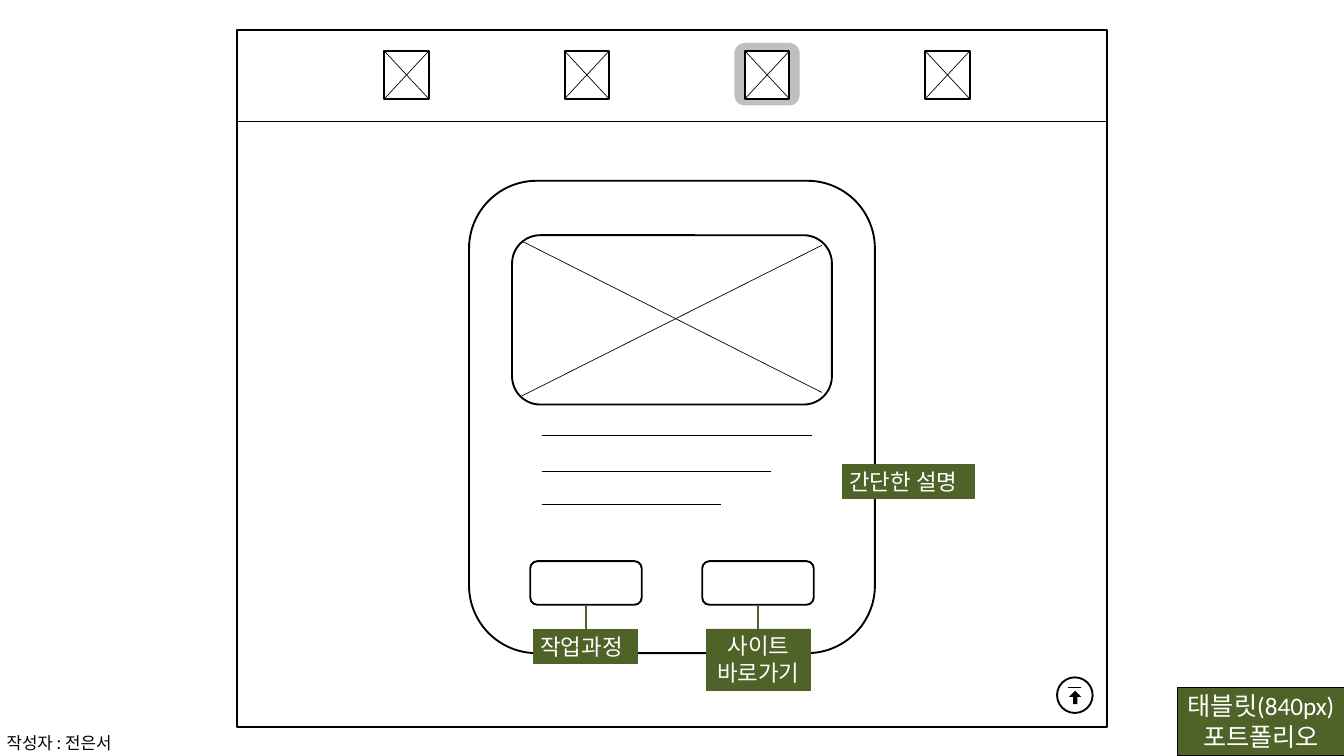
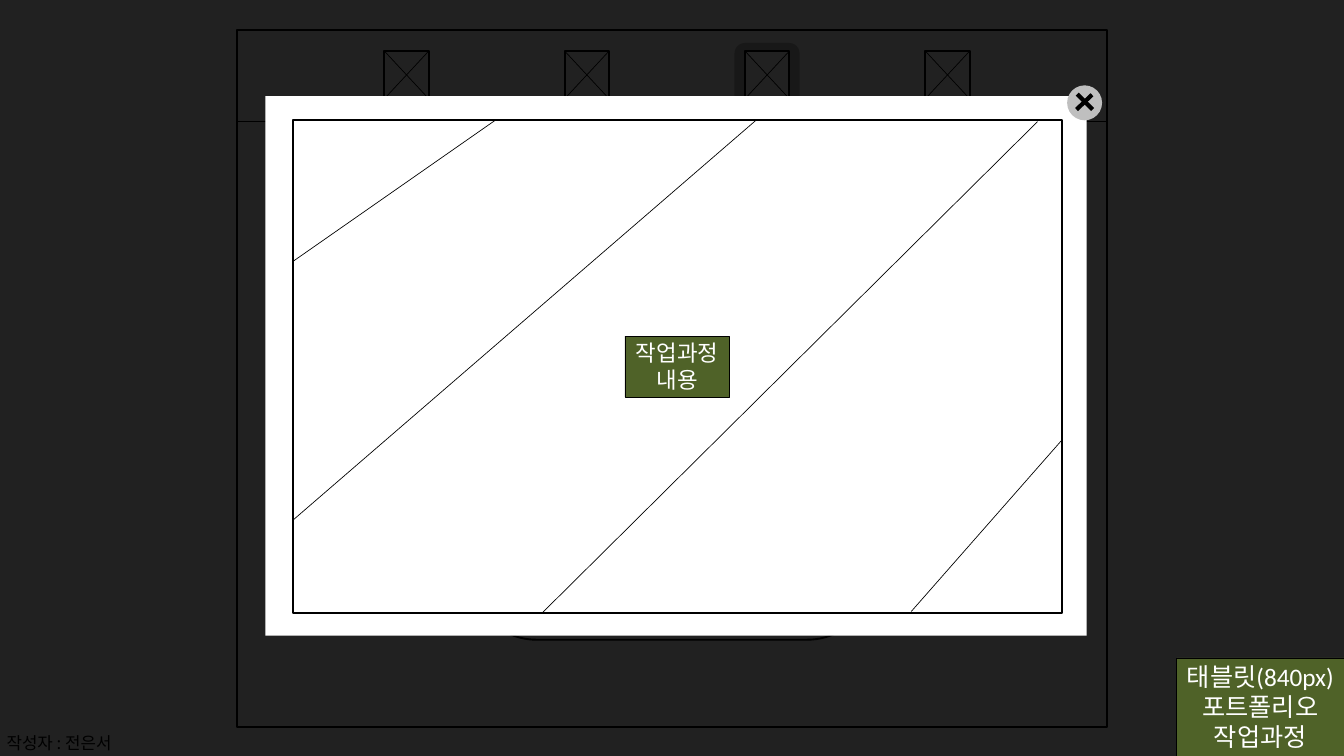
from dataclasses import dataclass

from lxml import etree
from pptx import Presentation
from pptx import util as u
from pptx.dml.color import RGBColor
from pptx.enum import shapes, text
from pptx.oxml import ns

Pt = u.Pt
SHAPE = shapes.MSO_SHAPE


@dataclass(frozen=True)
class Theme:
    ink: str = "000000"
    paper: str = "FFFFFF"
    grey: str = "BFBFBF"
    green: str = "4F6228"
    thin: float = 0.75
    bar: float = 1
    stem: float = 1.5
    outline: float = 2
    close: float = 4.5
    label: float = 24
    corner: float = 27
    small: float = 18
    font: str = "Calibri"
    author_font: str = "Noto Sans CJK KR"


T = Theme()

AUTHOR = "작성자 : 전은서"
AUTHOR_BOX = (0, 781.2, 136.8, 28.8)
CORNER = ["태블릿(840px)", "포트폴리오"]
CORNER_BOX = (1261.44, 736.56, 179.28, 72.72)
PROCESS_CORNER = CORNER + ["작업과정"]
PROCESS_CORNER_BOX = (1260.72, 704.88, 179.28, 105.12)

FRAME = (254.16, 31.68, 931.68, 747.36)
HEADER_Y = 130.32
ACTIVE_HALO = (786.96, 46.08, 69.84, 66.96)
ICON = (411.84, 54.72, 47.52, 51.12)
ICON_COUNT, ICON_STEP = 4, 193.2

CARD_X, CARD_W, CARD_H = 502.56, 434.88, 506.16
CARD_Y, COVERED_CARD_Y = 193.68, 179.28
PHOTO = (548.64, 252, 342.72, 181.44)
PHOTO_CROSS = [(559.44, 424.08, 880.56, 262.8), (559.44, 258.48, 880.56, 420.48)]
COPY_X = 580.32
COPY_LINES = [(466.56, 869.76), (504.72, 826.56), (540, 772.56)]
BUTTON_Y, BUTTON_W, BUTTON_H = 601.2, 119.52, 46.8
BUTTONS = [
    (568.08, ["작업과정"], (571.68, 674.64, 111.6, 36)),
    (752.4, ["사이트", "바로가기"], (756.72, 673.92, 111.6, 65.52)),
]
SUMMARY = (["간단한 설명"], (902.88, 497.52, 141.12, 36))

TOP_CIRCLE = (1132.56, 725.76, 38.16, 38.16)
TOP_ARROW = (1145.52, 740.16, 12.96, 14.4)
TOP_BAR = (1144.08, 736.56, 1158.48, 736.56)

DIM = (-3.6, 0, 1443.6, 810)
DIM_ALPHA = 87
MODAL = (284.4, 102.96, 879.84, 578.16)
CLOSE = (1143.36, 91.44, 37.44, 37.44)
CLOSE_CROSS = [(1153.44, 117.36, 1170, 101.52), (1170.72, 117.36, 1154.16, 100.8)]
CONTENT = (313.92, 128.88, 823.68, 527.76)
HATCH = [
    (530.64, 128.88, 313.92, 280.08),
    (810, 128.88, 313.92, 557.28),
    (1111.68, 130.32, 581.04, 656.64),
    (1138.32, 470.88, 976.32, 655.2),
]
PROCESS = (["작업과정", "내용"], (669.6, 360, 111.6, 65.52))


def rgb(color):
    return RGBColor.from_string(color)


def paint(sp, fill, line, width):
    if fill:
        sp.fill.solid()
        sp.fill.fore_color.rgb = rgb(fill)
    else:
        sp.fill.background()
    if line:
        sp.line.color.rgb = rgb(line)
        sp.line.width = Pt(width)
    else:
        sp.line.fill.background()


def add_box(s, kind, box, fill=None, line=T.ink, width=T.outline):
    sp = s.shapes.add_shape(kind, *map(Pt, box))
    sp.shadow.inherit = False
    paint(sp, fill, line, width)
    return sp


def add_line(s, ends, width=T.thin, color=T.ink):
    c = s.shapes.add_connector(shapes.MSO_CONNECTOR.STRAIGHT, *map(Pt, ends))
    c.line.color.rgb = rgb(color)
    c.line.width = Pt(width)
    etree.SubElement(c._element.spPr, ns.qn("a:effectLst"))


def add_text(s, box, lines, size, color, font):
    sp = s.shapes.add_textbox(*map(Pt, box))
    tf = sp.text_frame
    tf.word_wrap = False
    for i, line in enumerate(lines):
        p = tf.add_paragraph() if i else tf.paragraphs[0]
        p.alignment = text.PP_ALIGN.CENTER if len(lines) > 1 else text.PP_ALIGN.LEFT
        r = p.add_run()
        r.text = line
        r.font.size = Pt(size)
        r.font.color.rgb = rgb(color)
        r.font.name = font
        etree.SubElement(r.font._element, ns.qn("a:ea"), typeface=font)
    return sp


def add_tag(s, lines, box, size=T.label, border=T.green):
    sp = add_text(s, box, lines, size, T.paper, T.font)
    sp.text_frame.auto_size = text.MSO_AUTO_SIZE.SHAPE_TO_FIT_TEXT
    paint(sp, T.green, border, T.thin)


def add_icon(s, box):
    x, y, w, h = box
    add_box(s, SHAPE.RECTANGLE, box, T.paper)
    add_line(s, (x, y + h, x + w, y))
    add_line(s, (x + w, y + h, x, y))


def add_page(prs, card_y):
    s = prs.slides.add_slide(prs.slide_layouts[6])
    add_box(s, SHAPE.ROUNDED_RECTANGLE, ACTIVE_HALO, T.grey, None)
    add_box(s, SHAPE.RECTANGLE, FRAME)
    add_line(s, (FRAME[0], HEADER_Y, FRAME[0] + FRAME[2], HEADER_Y))
    x, *rest = ICON
    for i in range(ICON_COUNT):
        add_icon(s, (x + i * ICON_STEP, *rest))
    add_box(s, SHAPE.ROUNDED_RECTANGLE, (CARD_X, card_y, CARD_W, CARD_H), T.paper)
    author = add_text(s, AUTHOR_BOX, [AUTHOR], T.small, T.ink, T.author_font)
    author.text_frame.vertical_anchor = text.MSO_ANCHOR.MIDDLE
    return s


def portfolio_slide(prs):
    s = add_page(prs, CARD_Y)
    add_box(s, SHAPE.ROUNDED_RECTANGLE, PHOTO, T.paper)
    for ends in PHOTO_CROSS:
        add_line(s, ends)
    for y, right in COPY_LINES:
        add_line(s, (COPY_X, y, right, y))
    for x, lines, tag in BUTTONS:
        add_box(s, SHAPE.ROUNDED_RECTANGLE, (x, BUTTON_Y, BUTTON_W, BUTTON_H), T.paper)
        add_tag(s, lines, tag)
        middle = x + BUTTON_W / 2
        add_line(s, (middle, BUTTON_Y + BUTTON_H, middle, tag[1]), T.stem, T.green)
    add_tag(s, *SUMMARY)
    add_tag(s, CORNER, CORNER_BOX, T.corner, T.ink)
    add_box(s, SHAPE.OVAL, TOP_CIRCLE)
    arrow = add_box(s, SHAPE.UP_ARROW, TOP_ARROW, T.ink, None)
    arrow.adjustments[0] = 0.36
    add_line(s, TOP_BAR, T.bar)


def process_slide(prs):
    s = add_page(prs, COVERED_CARD_Y)
    dim = add_box(s, SHAPE.RECTANGLE, DIM, T.ink, None)
    color = dim._element.spPr.find(ns.qn("a:solidFill"))[0]
    etree.SubElement(color, ns.qn("a:alpha"), val=str(DIM_ALPHA * 1000))
    add_tag(s, PROCESS_CORNER, PROCESS_CORNER_BOX, T.corner, T.ink)
    add_box(s, SHAPE.RECTANGLE, MODAL, T.paper, None)
    add_box(s, SHAPE.OVAL, CLOSE, T.grey, None)
    for ends in CLOSE_CROSS:
        add_line(s, ends, T.close)
    add_box(s, SHAPE.RECTANGLE, CONTENT)
    for ends in HATCH:
        add_line(s, ends)
    add_tag(s, *PROCESS, border=T.ink)


def main():
    prs = Presentation()
    prs.slide_width, prs.slide_height = Pt(1440), Pt(810)
    portfolio_slide(prs)
    process_slide(prs)
    prs.save("out.pptx")


if __name__ == "__main__":
    main()
